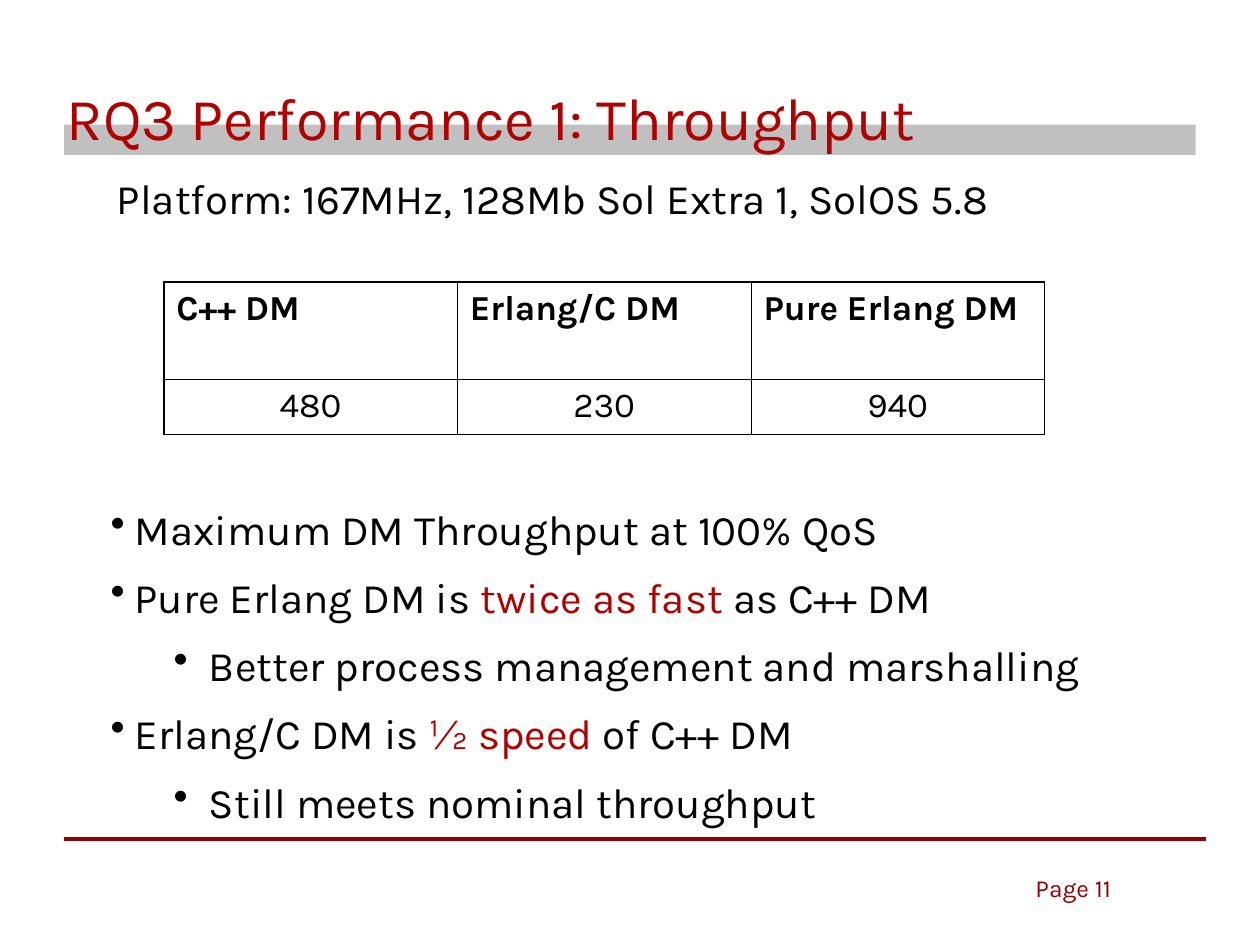
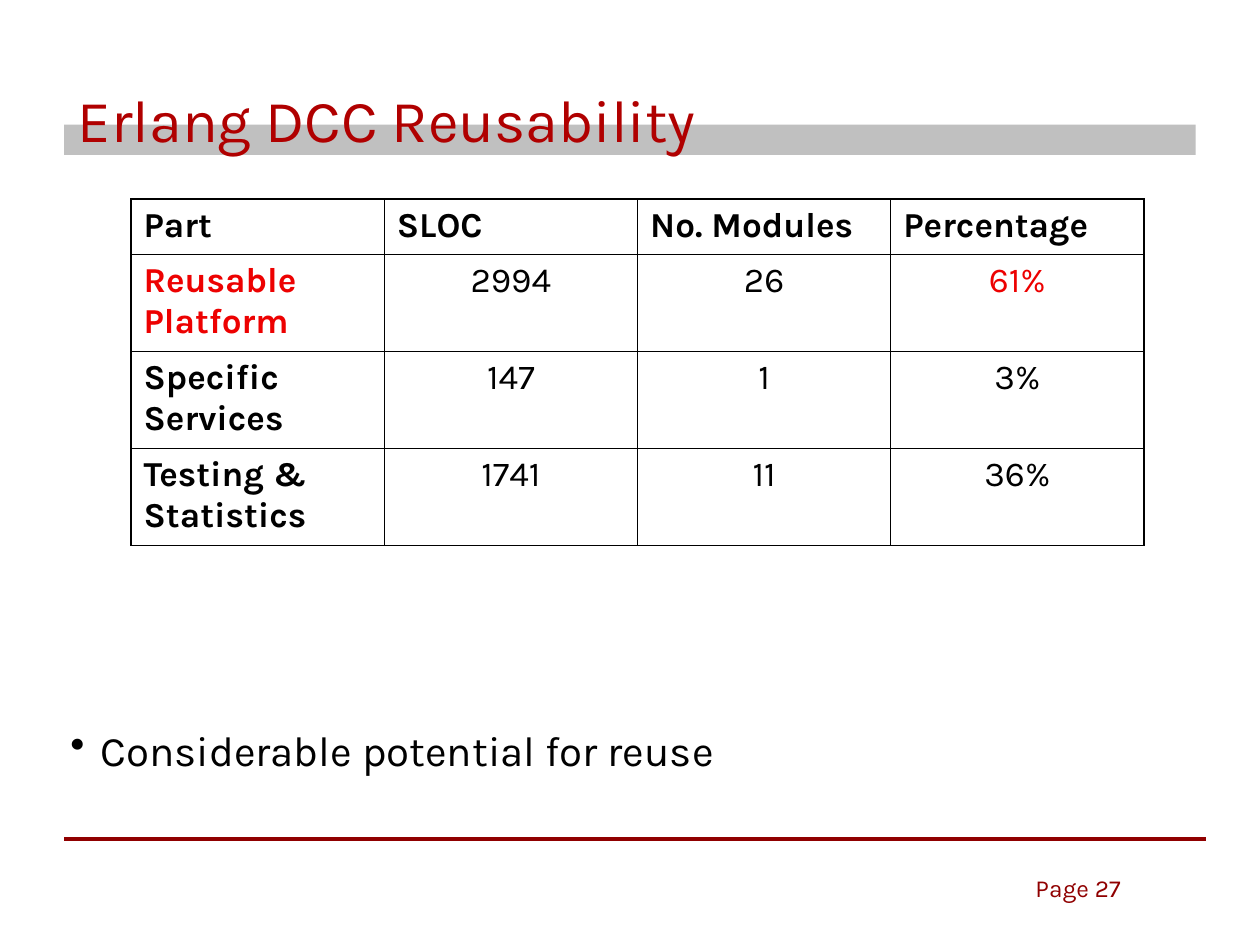
from lxml import etree
from pptx import Presentation
from pptx import util as u
from pptx.dml import color
from pptx.enum import shapes, text
from pptx.oxml import ns

BLACK, RED, DARK, BRIGHT, GREY = "000000", "B00000", "900000", "ED0101", "C0C0C0"
FONT = "Karla"
INDENTS = [(0.19, -0.19), (0.78, -0.28)]


def rgb(value):
    return color.RGBColor.from_string(value)


def write(tf, paras, size, bold=False, indents=None, **fmt):
    tf.word_wrap = True
    for i, (level, runs) in enumerate(paras):
        p = tf.paragraphs[0] if i == 0 else tf.add_paragraph()
        if indents:
            left, first = indents[level]
            pPr = p._p.get_or_add_pPr()
            pPr.set("marL", str(u.Inches(left)))
            pPr.set("indent", str(u.Inches(first)))
            clr = etree.SubElement(pPr, ns.qn("a:buClr"))
            etree.SubElement(clr, ns.qn("a:srgbClr"), val=BLACK)
            etree.SubElement(pPr, ns.qn("a:buChar"), char="•")
        p.level = level
        for name, value in fmt.items():
            if i or name != "space_before":
                setattr(p, name, value)
        for words, fill in runs:
            r = p.add_run()
            r.text = words
            for name, value in {"name": FONT, "size": u.Pt(size), "bold": bold}.items():
                setattr(r.font, name, value)
            r.font.color.rgb = rgb(fill)


slides = [
    {
        "title": "RQ3 Performance 1: Throughput",
        "title_box": (0.53, 0.3, 9, 1.24),
        "title_inset": 0,
        "title_fmt": {"line_spacing": u.Pt(42.1)},
        "page": 11,
        "table_at": (1.3, 2.24),
        "col": 2.33,
        "heights": [0.77, 0.44],
        "rows": [["C++ DM", "Erlang/C DM", "Pure Erlang DM"], ["480", "230", "940"]],
        "bright": [],
        "texts": [
            {
                "box": (0.78, 4.01, 8.25, 2.6),
                "paras": [
                    (0, [("Maximum DM Throughput at 100% QoS", BLACK)]),
                    (0, [("Pure Erlang DM is ", BLACK), ("twice as fast", RED), (" as C++ DM", BLACK)]),
                    (1, [("Better process management and marshalling", BLACK)]),
                    (0, [("Erlang/C DM is ", BLACK), ("½ speed", RED), (" of C++ DM", BLACK)]),
                    (1, [("Still meets nominal throughput", BLACK)]),
                ],
                "fmt": {"indents": INDENTS, "line_spacing": u.Pt(24), "space_before": u.Pt(15)},
            },
            {
                "box": (0.83, 1.39, 8.35, 1.66),
                "paras": [(0, [("Platform: 167MHz, 128Mb Sol Extra 1, SolOS 5.8", BLACK)])],
                "fmt": {"line_spacing": u.Pt(24)},
            },
        ],
    },
    {
        "title": "Erlang DCC Reusability",
        "title_box": (0.52, 0.47, 9, 0.94),
        "title_inset": 0.1,
        "title_fmt": {},
        "page": 27,
        "table_at": (1.04, 1.58),
        "col": 2.01,
        "heights": [0.44, 0.77, 0.77, 0.77],
        "rows": [
            ["Part", "SLOC", "No. Modules", "Percentage"],
            ["Reusable Platform", "2994", "26", "61%"],
            ["Specific Services", "147", "1", "3%"],
            ["Testing & Statistics", "1741", "11", "36%"],
        ],
        "bright": ["Reusable Platform", "61%"],
        "texts": [
            {
                "box": (0.46, 5.7, 9.29, 0.5),
                "paras": [(0, [("Considerable potential for reuse", BLACK)])],
                "fmt": {"indents": [(0.24, -0.24)]},
            },
        ],
    },
]

prs = Presentation()
prs.slide_width, prs.slide_height = u.Inches(10), u.Inches(7.5)

for d in slides:
    s = prs.slides.add_slide(prs.slide_layouts[6])

    sp = s.shapes.add_shape(shapes.MSO_SHAPE.RECTANGLE, *map(u.Inches, (0.51, 0.99, 8.98, 0.24)))
    sp.shadow.inherit = False
    sp.fill.solid()
    sp.fill.fore_color.rgb = rgb(GREY)
    sp.line.fill.background()

    rule = s.shapes.add_connector(shapes.MSO_CONNECTOR.STRAIGHT, *map(u.Inches, (9.57, 6.66, 0.51, 6.66)))
    rule.line.color.rgb = rgb(DARK)
    rule.line.width = u.Pt(2.25)
    etree.SubElement(rule._element.spPr, ns.qn("a:effectLst"))

    sp = s.shapes.add_textbox(*map(u.Inches, (8.12, 6.88, 1.66, 0.37)))
    write(sp.text_frame, [(0, [(f"Page {d['page']}", DARK)])], 14)

    sp = s.shapes.add_textbox(*map(u.Inches, d["title_box"]))
    tf = sp.text_frame
    tf.vertical_anchor = text.MSO_ANCHOR.MIDDLE
    for side in ("left", "right", "top", "bottom"):
        inset = d["title_inset"] / (1 if side in ("left", "right") else 2)
        setattr(tf, f"margin_{side}", u.Inches(inset))
    write(tf, [(0, [(d["title"], RED)])], 34, **d["title_fmt"])

    rows, cols = len(d["rows"]), len(d["rows"][0])
    size = d["col"] * cols, sum(d["heights"])
    tbl = s.shapes.add_table(rows, cols, *map(u.Inches, d["table_at"] + size)).table
    tbl.first_row = tbl.horz_banding = False
    for column in tbl.columns:
        column.width = u.Inches(d["col"])
    for i, row in enumerate(d["rows"]):
        tbl.rows[i].height = u.Inches(d["heights"][i])
        for j, words in enumerate(row):
            cell = tbl.cell(i, j)
            head = i == 0 or words[0].isalpha()
            fill = BRIGHT if words in d["bright"] else BLACK
            align = text.PP_ALIGN.LEFT if head else text.PP_ALIGN.CENTER
            write(cell.text_frame, [(0, [(words, fill)])], 20, bold=head, alignment=align)
            tcPr = cell._tc.get_or_add_tcPr()
            edges = {"L": j == 0, "R": j == cols - 1, "T": i == 0, "B": i == rows - 1}
            for side, outer in edges.items():
                ln = etree.SubElement(tcPr, ns.qn(f"a:ln{side}"), w=str(u.Pt(1.08 if outer else 0.45)))
                solid = etree.SubElement(ln, ns.qn("a:solidFill"))
                etree.SubElement(solid, ns.qn("a:srgbClr"), val=BLACK)
            cell.fill.background()

    for t in d["texts"]:
        sp = s.shapes.add_textbox(*map(u.Inches, t["box"]))
        write(sp.text_frame, t["paras"], 24, **t["fmt"])

prs.save("out.pptx")
